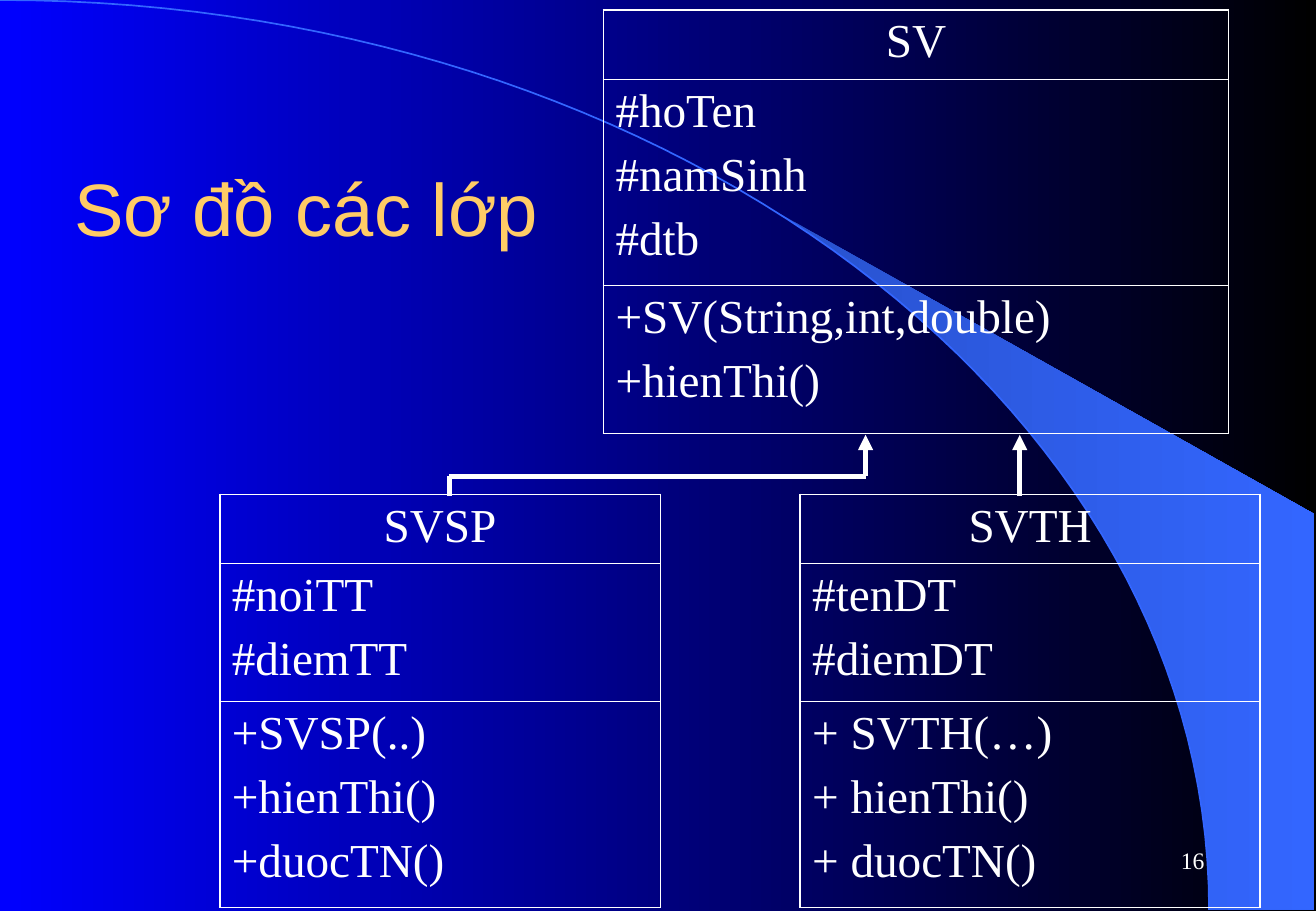
import pptx
import pptx.dml.color
import pptx.enum.shapes
import pptx.enum.text
import pptx.oxml
import pptx.oxml.ns
import pptx.util
from dataclasses import dataclass

Pt = pptx.util.Pt
ALIGN = pptx.enum.text.PP_ALIGN
ANCHOR = pptx.enum.text.MSO_ANCHOR


@dataclass(frozen=True)
class Theme:
    background: tuple = ("0000FF", "000000")
    swoosh: tuple = ("2851CC", "3366FF")
    arc: str = "3366FF"
    title: str = "FFCC66"
    ink: str = "FFFFFF"
    title_font: str = "Arial"
    body_font: str = "Times New Roman"
    title_size: float = 44
    body_size: float = 28
    number_size: float = 14
    outer_border: float = 1.08
    inner_border: float = 0.45


THEME = Theme()

# Corner curve: control points of one cubic, in points
CURVE = ((0, 0), (396, 0), (717.12, 241.2), (717.12, 539.28))
SWOOSH_START = 0.44
SWOOSH_CORNERS = [(779.04, 539.28), (779.04, 304.56)]

# Class boxes: left, top, width, row heights, then name, fields and methods
CLASSES = [
    ((357.84, 5.76, 370.8), (41.04, 122.4, 87.84),
     (["SV"], ["#hoTen", "#namSinh", "#dtb"],
      ["+SV(String,int,double)", "+hienThi()"])),
    ((130.32, 293.04, 261.36), (41.04, 81.36, 122.4),
     (["SVSP"], ["#noiTT", "#diemTT"],
      ["+SVSP(..)", "+hienThi()", "+duocTN()"])),
    ((474.48, 293.04, 272.88), (41.04, 81.36, 122.4),
     (["SVTH"], ["#tenDT", "#diemDT"],
      ["+ SVTH(…)", "+ hienThi()", "+ duocTN()"])),
]

# Inheritance lines: from, to, arrowhead at the end
PARENT_Y, ELBOW_Y, CHILD_Y = 257.76, 282.24, 293.76
LINKS = [
    ((513.36, ELBOW_Y), (513.36, PARENT_Y), True),
    ((604.8, CHILD_Y), (604.8, PARENT_Y), True),
    ((266.4, ELBOW_Y), (513.36, ELBOW_Y), False),
    ((266.4, ELBOW_Y), (266.4, CHILD_Y), False),
]


def rgb(color):
    return pptx.dml.color.RGBColor.from_string(color)


def add_run(paragraph, text, size, font, color):
    run = paragraph.add_run()
    run.text = text
    run.font.size = Pt(size)
    run.font.name = font
    run.font.color.rgb = rgb(color)


def set_gradient(fill, colors):
    fill.gradient()
    fill.gradient_angle = 0
    for position, (stop, color) in enumerate(zip(fill.gradient_stops, colors)):
        stop.position = position
        stop.color.rgb = rgb(color)


def curve_points(start, steps=60):
    points = []
    for step in range(steps + 1):
        t = start + (1 - start) * step / steps
        weights = ((1 - t) ** 3, 3 * t * (1 - t) ** 2, 3 * t * t * (1 - t), t ** 3)
        points.append(tuple(sum(weight * control[axis] for weight, control in zip(weights, CURVE))
                            for axis in (0, 1)))
    return points


def add_outline(slide, points, close):
    # Local units are hundredths of a point
    units = [(100 * x, 100 * y) for x, y in points]
    builder = slide.shapes.build_freeform(*units[0], scale=Pt(1) / 100)
    builder.add_line_segments(units[1:], close=close)
    shape = builder.convert_to_shape()
    shape.shadow.inherit = False
    return shape


def add_decoration(slide):
    swoosh = add_outline(slide, curve_points(SWOOSH_START) + SWOOSH_CORNERS, True)
    set_gradient(swoosh.fill, THEME.swoosh)
    swoosh.line.fill.background()
    arc = add_outline(slide, curve_points(0), False)
    arc.fill.background()
    arc.line.color.rgb = rgb(THEME.arc)
    arc.line.width = Pt(1)


def set_title(slide, text):
    title = slide.shapes.title
    title.left, title.top, title.width, title.height = Pt(19.44), Pt(77.76), Pt(324.72), Pt(90)
    frame = title.text_frame
    frame.vertical_anchor = ANCHOR.MIDDLE
    paragraph = frame.paragraphs[0]
    paragraph.alignment = ALIGN.CENTER
    add_run(paragraph, text, THEME.title_size, THEME.title_font, THEME.title)


def add_slide_number(slide, text):
    box = slide.shapes.add_textbox(Pt(558.72), Pt(491.76), Pt(162.72), Pt(36))
    frame = box.text_frame
    frame.word_wrap = True
    frame.vertical_anchor = ANCHOR.MIDDLE
    paragraph = frame.paragraphs[0]
    paragraph.alignment = ALIGN.RIGHT
    add_run(paragraph, text, THEME.number_size, THEME.body_font, THEME.ink)


def set_borders(cell, widths):
    properties = cell._tc.get_or_add_tcPr()
    for index, (side, width) in enumerate(widths.items()):
        properties.insert(index, pptx.oxml.parse_xml(
            f'<a:ln{side} {pptx.oxml.ns.nsdecls("a")} w="{Pt(width)}"><a:solidFill>'
            f'<a:srgbClr val="{THEME.ink}"/></a:solidFill></a:ln{side}>'))


def add_class_box(slide, place, heights, sections):
    left, top, width = place
    frame = slide.shapes.add_table(len(sections), 1, Pt(left), Pt(top), Pt(width), Pt(sum(heights)))
    table = frame.table
    table.first_row = table.horz_banding = False
    last = len(sections) - 1
    for index, (height, lines) in enumerate(zip(heights, sections)):
        table.rows[index].height = Pt(height)
        cell = table.cell(index, 0)
        cell.fill.background()
        outer, inner = THEME.outer_border, THEME.inner_border
        set_borders(cell, {"L": outer, "R": outer,
                           "T": outer if index == 0 else inner,
                           "B": outer if index == last else inner})
        for number, line in enumerate(lines):
            text_frame = cell.text_frame
            paragraph = text_frame.add_paragraph() if number else text_frame.paragraphs[0]
            paragraph.alignment = ALIGN.LEFT if index else ALIGN.CENTER
            paragraph.space_before = Pt(7)
            add_run(paragraph, line, THEME.body_size, THEME.body_font, THEME.ink)


def add_link(slide, start, end, arrow):
    connector = slide.shapes.add_connector(
        pptx.enum.shapes.MSO_CONNECTOR.STRAIGHT, *map(Pt, start + end))
    connector.line.color.rgb = rgb(THEME.ink)
    connector.line.width = Pt(3)
    namespace = pptx.oxml.ns.nsdecls("a")
    if arrow:
        connector.line._get_or_add_ln().append(
            pptx.oxml.parse_xml(f'<a:tailEnd {namespace} type="triangle"/>'))
    connector._element.spPr.append(pptx.oxml.parse_xml(f"<a:effectLst {namespace}/>"))


def main():
    presentation = pptx.Presentation()
    presentation.slide_width, presentation.slide_height = Pt(780.48), Pt(540)
    slide = presentation.slides.add_slide(presentation.slide_layouts[5])

    # Backdrop
    set_gradient(slide.background.fill, THEME.background)
    add_decoration(slide)

    # Title and number
    add_slide_number(slide, "16")
    set_title(slide, "Sơ đồ các lớp")

    # Class diagram
    for class_box in CLASSES:
        add_class_box(slide, *class_box)
    for link in LINKS:
        add_link(slide, *link)

    presentation.save("out.pptx")


if __name__ == "__main__":
    main()
